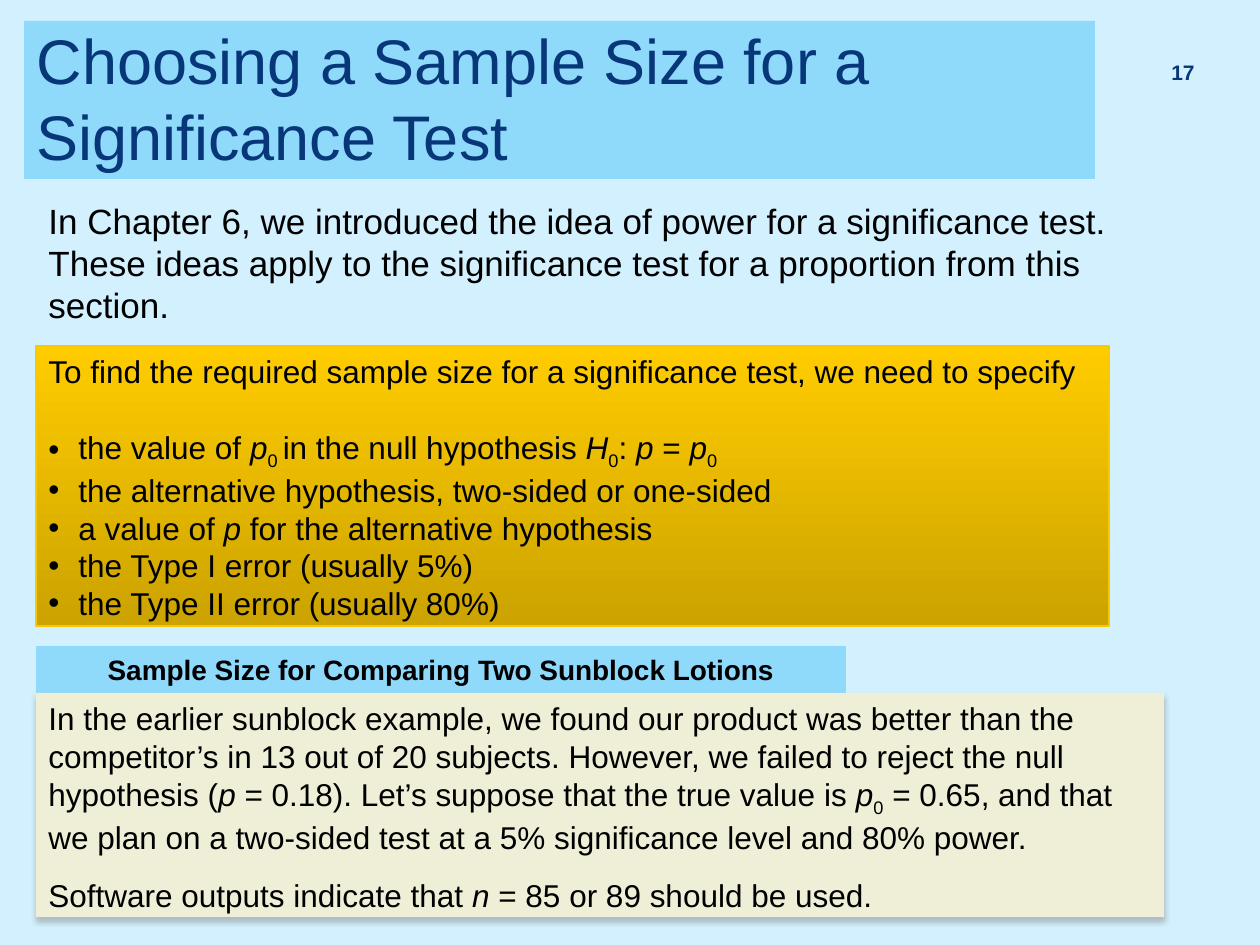
from lxml import etree
from pptx import Presentation
from pptx import util as u
from pptx.dml.color import RGBColor
from pptx.enum import shapes, text
from pptx.oxml import ns

PX = 914400 / 126


def px(*lengths):
    return [u.Emu(round(length * PX)) for length in lengths]


def rgb(value):
    return RGBColor.from_string(value)


def add_xml(parent, tag, **attributes):
    return etree.SubElement(parent, ns.qn(tag), attributes)


def add_runs(paragraph, marked):
    """Add runs, where *x* is italic and _x_ is subscript."""
    italic = subscript = False
    part = ""
    for letter in marked + "\0":
        if letter not in "*_\0":
            part += letter
            continue
        if part:
            run = paragraph.add_run()
            run.text = part
            run.font.italic = italic
            if subscript:
                run.font._element.set("baseline", "-25000")
            part = ""
        italic ^= letter == "*"
        subscript ^= letter == "_"


def write(frame, paragraphs, size=18, color="000000", bold=False, align=text.PP_ALIGN.LEFT,
          anchor=text.MSO_ANCHOR.TOP, bullets_from=None, after=(), spacing=None):
    frame.word_wrap = True
    frame.auto_size = text.MSO_AUTO_SIZE.NONE
    frame.vertical_anchor = anchor
    for index, marked in enumerate(paragraphs):
        paragraph = frame.paragraphs[0] if index == 0 else frame.add_paragraph()
        paragraph.alignment = align
        if spacing:
            paragraph.line_spacing = spacing
        if index < len(after):
            paragraph.space_after = u.Pt(after[index])
        if bullets_from is not None and index >= bullets_from:
            indent = px(30)[0]
            properties = paragraph._p.get_or_add_pPr()
            properties.set("marL", str(indent))
            properties.set("indent", str(-indent))
            add_xml(properties, "a:buFont", typeface="Arial")
            add_xml(properties, "a:buChar", char="•")
        add_runs(paragraph, marked)
        for run in paragraph.runs:
            run.font.name = "Arial"
            run.font.size = u.Pt(size)
            run.font.bold = bold
            run.font.color.rgb = rgb(color)


class Deck:
    """Holds the style and the current slide."""

    sky, pale, navy, cream = "8FD9FB", "D2F0FD", "073779", "EEEFD6"

    def __init__(self, width, height):
        self.show = Presentation()
        self.show.slide_width, self.show.slide_height = px(width, height)
        self.slide = self.show.slides.add_slide(self.show.slide_layouts[5])
        background = self.slide.background.fill
        background.solid()
        background.fore_color.rgb = rgb(self.pale)

    def title(self, box, wording):
        title = self.slide.shapes.title
        title.left, title.top, title.width, title.height = px(*box)
        title.fill.solid()
        title.fill.fore_color.rgb = rgb(self.sky)
        write(title.text_frame, [wording], size=36, color=self.navy, anchor=text.MSO_ANCHOR.BOTTOM)

    def label(self, box, paragraphs, **style):
        label = self.slide.shapes.add_textbox(*px(*box))
        write(label.text_frame, paragraphs, **style)

    def panel(self, box, paragraphs, fill, line=None, shadow=False, **style):
        panel = self.slide.shapes.add_shape(shapes.MSO_SHAPE.RECTANGLE, *px(*box))
        panel.shadow.inherit = False
        if isinstance(fill, str):
            panel.fill.solid()
            panel.fill.fore_color.rgb = rgb(fill)
        else:
            panel.fill.gradient()
            panel.fill.gradient_angle = 90
            for stop, shade in zip(panel.fill.gradient_stops, fill):
                stop.color.rgb = rgb(shade)
        if line:
            panel.line.color.rgb = rgb(line)
            panel.line.width = u.Pt(1)
        else:
            panel.line.fill.background()
        if shadow:
            effects = panel._element.spPr.find(ns.qn("a:effectLst"))
            cast = add_xml(effects, "a:outerShdw", blurRad=str(u.Pt(3)), dist=str(u.Pt(2.4)),
                           dir="5400000", rotWithShape="0")
            tint = add_xml(cast, "a:srgbClr", val="808080")
            add_xml(tint, "a:alpha", val="45000")
        write(panel.text_frame, paragraphs, **style)


def main():
    deck = Deck(1260, 945)
    deck.title((24, 21, 1071, 158), "Choosing a Sample Size for a Significance Test")
    deck.label((1138, 49, 69, 50), ["17"], size=12, color=deck.navy, bold=True, spacing=0.8,
               align=text.PP_ALIGN.RIGHT, anchor=text.MSO_ANCHOR.MIDDLE)
    deck.label((36, 193, 1101, 140), [
        "In Chapter 6, we introduced the idea of power for a significance test. "
        "These ideas apply to the significance test for a proportion from this section.",
    ], size=20)
    deck.panel((36, 346, 1073, 280), [
        "To find the required sample size for a significance test, we need to specify",
        "the value of *p*_0 _in the null hypothesis *H*_0_: *p* = *p*_0_",
        "the alternative hypothesis, two-sided or one-sided",
        "a value of *p* for the alternative hypothesis",
        "the Type I error (usually 5%)",
        "the Type II error (usually 80%)",
    ], fill=("CCA300", "FFCC00"), line="F9C800", bullets_from=1, after=(21.6,))
    deck.panel((36, 646, 810, 47), ["Sample Size for Comparing Two Sunblock Lotions"],
               fill=deck.sky, size=16, bold=True, align=text.PP_ALIGN.CENTER)
    deck.panel((36, 693, 1128, 224), [
        "In the earlier sunblock example, we found our product was better than the "
        "competitor’s in 13 out of 20 subjects. However, we failed to reject the null "
        "hypothesis (*p* = 0.18). Let’s suppose that the true value is *p*_0_ = 0.65, and that "
        "we plan on a two-sided test at a 5% significance level and 80% power.",
        "Software outputs indicate that *n* = 85 or 89 should be used.",
    ], fill=deck.cream, shadow=True, after=(12, 12))
    deck.show.save("out.pptx")


if __name__ == "__main__":
    main()
